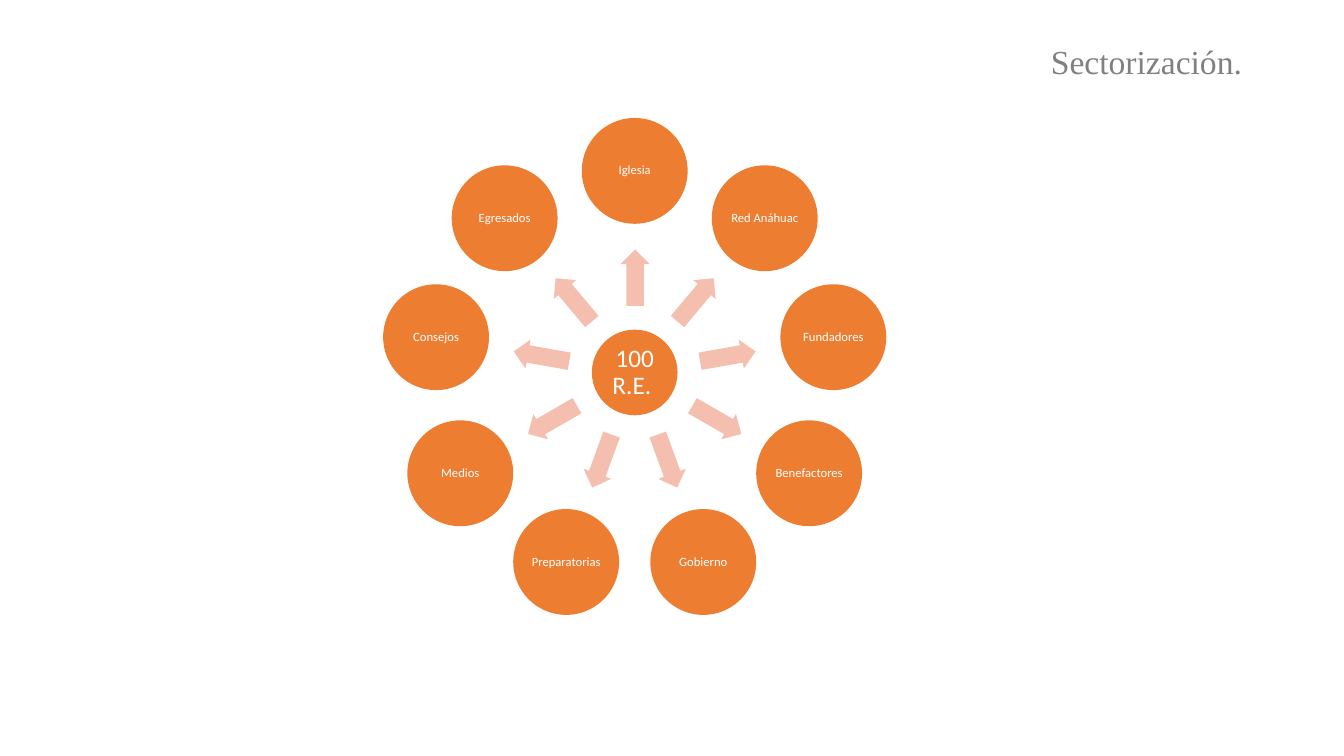
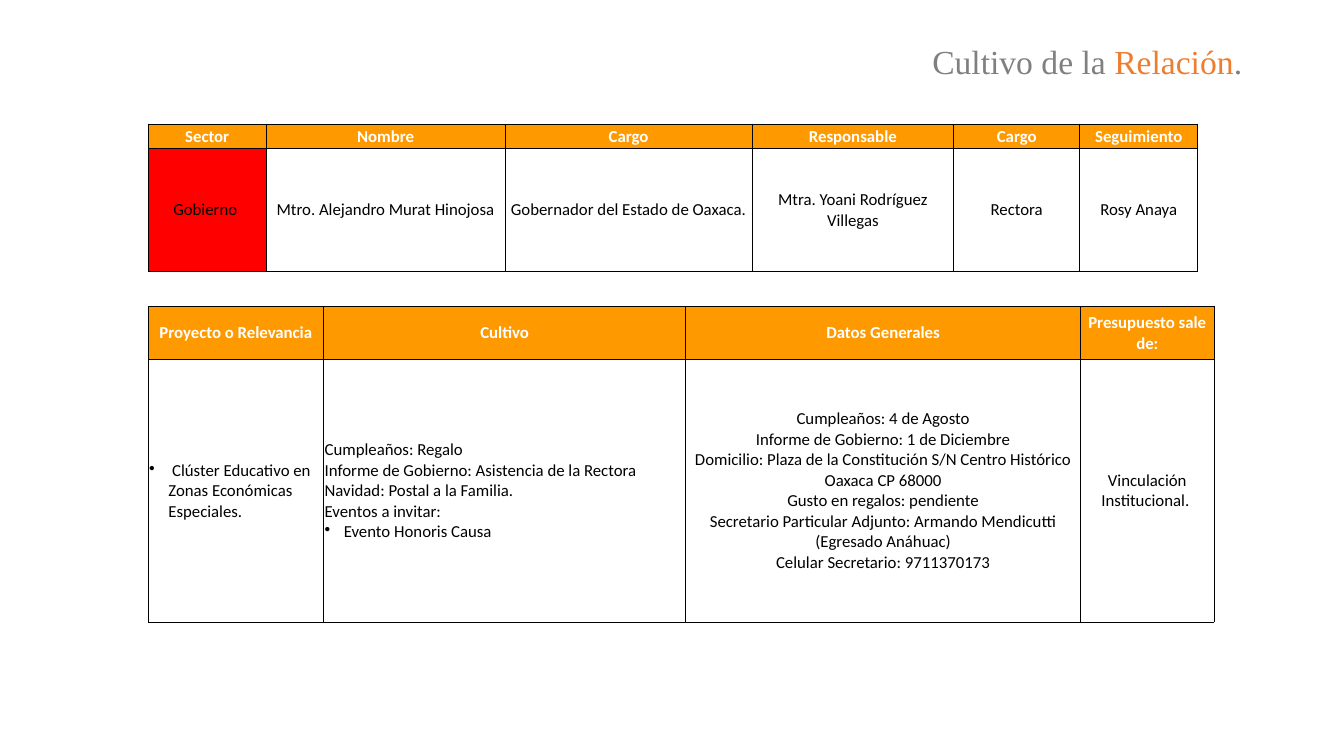
import math

import lxml.etree
import pptx
import pptx.dml.color
import pptx.enum.shapes
import pptx.enum.text
import pptx.oxml.ns
import pptx.util

SHAPE = pptx.enum.shapes.MSO_SHAPE
ALIGN = pptx.enum.text.PP_ALIGN
ANCHOR = pptx.enum.text.MSO_ANCHOR
qn = pptx.oxml.ns.qn

ORANGE = "ED7D31"
PEACH = "F4BFAE"
AMBER = "FF9900"
RED = "FF0000"
GREY = "808080"
WHITE = "FFFFFF"
BLACK = "000000"
BODY_FONT = "Calibri"
TITLE_FONT = "Times New Roman"
BULLET = "• "


def px(n):
    return pptx.util.Emu(int(n) * 9144)


def rgb(value):
    return pptx.dml.color.RGBColor.from_string(value)


class Deck:
    def __init__(self):
        self.prs = pptx.Presentation()
        self.prs.slide_width = px(1333)
        self.prs.slide_height = px(750)
        self.s = None

    def slide(self, *title_parts):
        self.s = self.prs.slides.add_slide(self.prs.slide_layouts[5])
        title = self.s.shapes.title
        title.left, title.top, title.width, title.height = map(px, (92, 40, 1150, 145))
        tf = title.text_frame
        tf.auto_size = pptx.enum.text.MSO_AUTO_SIZE.NONE
        tf.vertical_anchor = ANCHOR.TOP
        p = tf.paragraphs[0]
        p.alignment = ALIGN.RIGHT
        p.line_spacing = 0.9
        for text, colour in title_parts:
            r = p.add_run()
            r.text = text
            self.style(r, 24, colour, TITLE_FONT)

    def style(self, r, size, colour, font=BODY_FONT, bold=False):
        r.font.size = pptx.util.Pt(size)
        r.font.name = font
        r.font.bold = bold
        r.font.color.rgb = rgb(colour)

    def shape(self, kind, cx, cy, w, h, fill):
        sp = self.s.shapes.add_shape(kind, px(cx - w / 2), px(cy - h / 2), px(w), px(h))
        sp.shadow.inherit = False
        sp.fill.solid()
        sp.fill.fore_color.rgb = rgb(fill)
        sp.line.fill.background()
        return sp

    def circle(self, cx, cy, diameter, text, size, inset):
        sp = self.shape(SHAPE.OVAL, cx, cy, diameter, diameter, ORANGE)
        tf = sp.text_frame
        tf.word_wrap = True
        tf.vertical_anchor = ANCHOR.MIDDLE
        tf.margin_left = tf.margin_right = tf.margin_top = tf.margin_bottom = px(inset)
        tf.text = text
        p = tf.paragraphs[0]
        p.alignment = ALIGN.CENTER
        p.line_spacing = 0.9
        self.style(p.runs[0], size, WHITE)

    def arrow(self, cx, cy, angle):
        sp = self.shape(SHAPE.RIGHT_ARROW, cx, cy, 56, 29, PEACH)
        sp.adjustments[0] = 0.6
        sp.adjustments[1] = 0.5
        sp.rotation = angle % 360

    def table(self, left, top, widths, heights, rows, fills=None, left_aligned=()):
        frame = self.s.shapes.add_table(len(rows), len(widths), px(left), px(top),
                                        px(sum(widths)), px(sum(heights)))
        table = frame.table
        table.first_row = table.horz_banding = False
        for column, width in zip(table.columns, widths):
            column.width = px(width)
        for i, (row, height) in enumerate(zip(rows, heights)):
            table.rows[i].height = px(height)
            for j, text in enumerate(row):
                header = i == 0
                fill = AMBER if header else (fills or {}).get(j)
                align = ALIGN.LEFT if j in left_aligned and not header else ALIGN.CENTER
                self.cell(table.cell(i, j), text, fill, align, header)

    def cell(self, cell, text, fill, align, header):
        self.borders(cell)
        if fill:
            cell.fill.solid()
            cell.fill.fore_color.rgb = rgb(fill)
        else:
            cell.fill.background()
        cell.vertical_anchor = ANCHOR.MIDDLE
        cell.margin_left = cell.margin_right = cell.margin_top = px(1)
        cell.margin_bottom = 0
        tf = cell.text_frame
        for i, line in enumerate(text.split("\n")):
            p = tf.add_paragraph() if i else tf.paragraphs[0]
            p.text = line.removeprefix(BULLET)
            p.alignment = align
            if line.startswith(BULLET):
                self.bullet(p)
            self.style(p.runs[0], 12, WHITE if header else BLACK, bold=header)

    def borders(self, cell):
        tc_pr = cell._tc.get_or_add_tcPr()
        for side in ("a:lnL", "a:lnR", "a:lnT", "a:lnB"):
            line = lxml.etree.SubElement(tc_pr, qn(side), w=str(pptx.util.Pt(0.5)))
            solid = lxml.etree.SubElement(line, qn("a:solidFill"))
            lxml.etree.SubElement(solid, qn("a:srgbClr"), val=BLACK)

    def bullet(self, p):
        p_pr = p._p.get_or_add_pPr()
        p_pr.set("marL", str(px(19)))
        p_pr.set("indent", str(px(-19)))
        lxml.etree.SubElement(p_pr, qn("a:buChar"), char=BULLET.strip())


def sectors(deck):
    deck.slide(("Sectorización.", GREY))
    cx, cy = 630, 370
    names = ("Iglesia", "Red Anáhuac", "Fundadores", "Benefactores", "Gobierno",
             "Preparatorias", "Medios", "Consejos", "Egresados")
    deck.circle(cx, cy, 85, "100 R.E. ", 18, 3)
    for i, name in enumerate(names):
        angle = i * 360 / len(names) - 90
        dx, dy = math.cos(math.radians(angle)), math.sin(math.radians(angle))
        deck.arrow(cx + 94 * dx, cy + 94 * dy, angle)
        deck.circle(cx + 200 * dx, cy + 200 * dy, 105, name, 9, 1)


def relationship(deck):
    deck.slide(("Cultivo de la ", GREY), ("Relación", ORANGE), (".", GREY))
    deck.table(147, 123, (117, 237, 245, 200, 125, 117), (24, 122), (
        ("Sector", "Nombre", "Cargo", "Responsable", "Cargo", "Seguimiento"),
        ("Gobierno ", "Mtro. Alejandro Murat Hinojosa", "Gobernador del Estado de Oaxaca.",
         "Mtra. Yoani Rodríguez Villegas", "Rectora", "Rosy Anaya"),
    ), fills={0: RED})
    project = "•  Clúster Educativo en Zonas Económicas Especiales."
    actions = """Cumpleaños: Regalo
Informe de Gobierno: Asistencia de la Rectora
Navidad: Postal a la Familia.
Eventos a invitar:
• Evento Honoris Causa"""
    details = """Cumpleaños: 4 de Agosto
Informe de Gobierno: 1 de Diciembre
Domicilio: Plaza de la Constitución S/N Centro Histórico Oaxaca CP 68000
Gusto en regalos: pendiente
Secretario Particular Adjunto: Armando Mendicutti (Egresado Anáhuac)
Celular Secretario: 9711370173"""
    deck.table(147, 304, (174, 359, 392, 132), (52, 261), (
        ("Proyecto o Relevancia", "Cultivo", "Datos Generales", "Presupuesto sale de:"),
        (project, actions, details, "Vinculación Institucional. "),
    ), left_aligned=(0, 1))


def main():
    deck = Deck()
    sectors(deck)
    relationship(deck)
    deck.prs.save("out.pptx")


if __name__ == "__main__":
    main()
